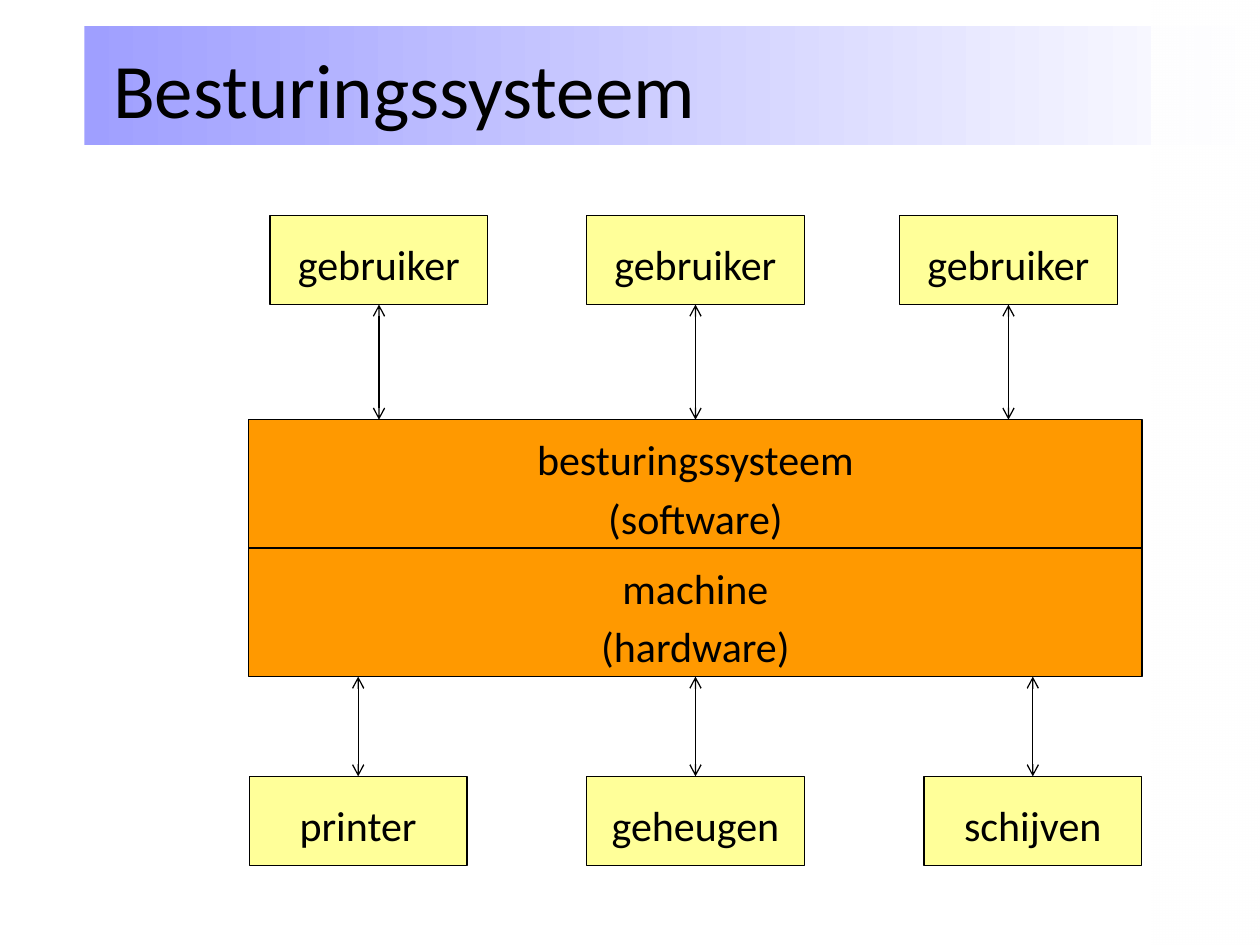
from lxml import etree
from pptx import Presentation
from pptx.dml.color import RGBColor
from pptx.enum.shapes import MSO_CONNECTOR, MSO_SHAPE
from pptx.enum.text import MSO_ANCHOR, PP_ALIGN
from pptx.oxml.ns import qn
from pptx.util import Cm, Pt

RECTANGLE = MSO_SHAPE.RECTANGLE
STRAIGHT = MSO_CONNECTOR.STRAIGHT
MIDDLE = MSO_ANCHOR.MIDDLE
CENTER, LEFT = PP_ALIGN.CENTER, PP_ALIGN.LEFT

COLORS = {
    "ink": "000000",
    "white": "FFFFFF",
    "band": "9F9FFF",
    "outer": "FFFF99",
    "core": "FF9900",
}
FONT = "Calibri"
LINE_WIDTH = Pt(0.75)

# Layout in centimetres
MIDDLE_X = 14.02
BOX_WIDTH, BOX_HEIGHT = 4.39, 1.8
CORE_WIDTH, CORE_HEIGHT = 18.01, 2.59
USERS_TOP, SYSTEM_TOP, DEVICES_TOP = 4.34, 8.46, 15.65
MACHINE_TOP = SYSTEM_TOP + CORE_HEIGHT
USERS = [(7.64, "gebruiker"), (MIDDLE_X, "gebruiker"), (20.33, "gebruiker")]
DEVICE_STEP = 6.8
DEVICES = ["printer", "geheugen", "schijven"]


def rgb(name):
    return RGBColor.from_string(COLORS[name])


def write_text(frame, text, size=24, align=CENTER, gap=0, wrap=False):
    """Write one paragraph per line, with a gap in points between them."""
    frame.word_wrap = wrap
    frame.vertical_anchor = MIDDLE
    for index, line in enumerate(text.split("\n")):
        paragraph = frame.add_paragraph() if index else frame.paragraphs[0]
        paragraph.text = line
        paragraph.alignment = align
        if index:
            paragraph.space_before = Pt(gap)
        paragraph.font.name = FONT
        paragraph.font.size = Pt(size)
        paragraph.font.color.rgb = rgb("ink")


def add_rectangle(slide, left, top, width, height):
    rectangle = slide.shapes.add_shape(
        RECTANGLE, Cm(left), Cm(top), Cm(width), Cm(height))
    rectangle.shadow.inherit = False
    return rectangle


def add_fade(slide, left, top, width, height, start, end, end_alpha=100):
    """Add a borderless rectangle that fades from left to right."""
    fade = add_rectangle(slide, left, top, width, height)
    fade.line.fill.background()
    fade.fill.gradient()
    fade.fill.gradient_angle = 0
    for stop, name in zip(fade.fill.gradient_stops, (start, end)):
        stop.color.rgb = rgb(name)
    if end_alpha < 100:
        end_color = fade._element.spPr.findall(".//" + qn("a:srgbClr"))[-1]
        etree.SubElement(end_color, qn("a:alpha"), val=str(end_alpha * 1000))


def add_box(slide, center, top, width, height, text, fill):
    box = add_rectangle(slide, center - width / 2, top, width, height)
    box.fill.solid()
    box.fill.fore_color.rgb = rgb(fill)
    box.line.color.rgb = rgb("ink")
    box.line.width = LINE_WIDTH
    # The labels sit slightly below the middle
    box.text_frame.margin_top = Cm(0.17)
    box.text_frame.margin_bottom = 0
    write_text(box.text_frame, text, gap=4.8)


def add_double_arrow(slide, x, top, bottom):
    arrow = slide.shapes.add_connector(
        STRAIGHT, Cm(x), Cm(top), Cm(x), Cm(bottom))
    arrow.line.color.rgb = rgb("ink")
    arrow.line.width = LINE_WIDTH
    outline = arrow.line._get_or_add_ln()
    for end in ("a:headEnd", "a:tailEnd"):
        etree.SubElement(outline, qn(end), type="arrow")
    etree.SubElement(arrow._element.spPr, qn("a:effectLst"))


def add_title(slide, text):
    title = slide.shapes.add_textbox(Cm(2.03), Cm(0.18), Cm(19.99), Cm(3.18))
    write_text(title.text_frame, text, size=44, align=LEFT, wrap=True)


def main():
    presentation = Presentation()
    presentation.slide_width, presentation.slide_height = Cm(25.4), Cm(19.05)
    slide = presentation.slides.add_slide(presentation.slide_layouts[6])

    # Title on a band that fades out at the right edge
    add_fade(slide, 1.7, 0.53, 23.7, 2.39, "band", "white")
    add_fade(slide, 23.22, 0, 2.18, 19.05, "white", "white", end_alpha=38)
    add_title(slide, "Besturingssysteem")

    # Operating system on top of the machine
    for top, text in ((MACHINE_TOP, "machine\n(hardware)"),
                      (SYSTEM_TOP, "besturingssysteem\n(software)")):
        add_box(slide, MIDDLE_X, top, CORE_WIDTH, CORE_HEIGHT, text, "core")

    # Users above
    for center, user in USERS:
        add_box(slide, center, USERS_TOP, BOX_WIDTH, BOX_HEIGHT, user, "outer")
        add_double_arrow(slide, center, USERS_TOP + BOX_HEIGHT, SYSTEM_TOP)

    # Devices below
    for index, device in enumerate(DEVICES):
        center = MIDDLE_X + (index - 1) * DEVICE_STEP
        add_box(slide, center, DEVICES_TOP, BOX_WIDTH, BOX_HEIGHT, device, "outer")
        add_double_arrow(slide, center, MACHINE_TOP + CORE_HEIGHT, DEVICES_TOP)

    presentation.save("out.pptx")


if __name__ == "__main__":
    main()
